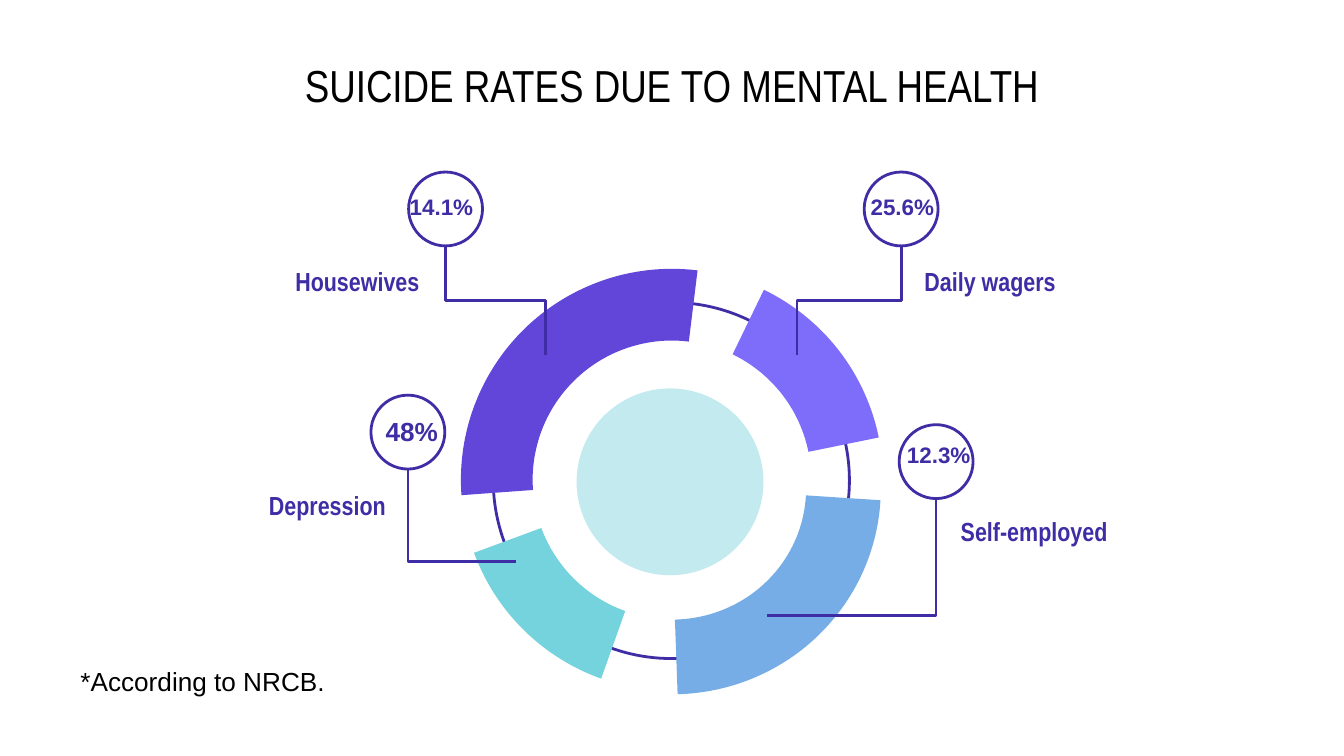
from collections import namedtuple
from lxml.etree import SubElement
from pptx import Presentation
from pptx.dml.color import RGBColor
from pptx.enum.shapes import MSO_CONNECTOR as Conn, MSO_SHAPE as Shape
from pptx.enum.text import MSO_ANCHOR as Anchor, PP_ALIGN as Align
from pptx.oxml.ns import qn
from pptx.util import Emu, Pt

PX = 9144  # 100 px to the inch
BLACK = RGBColor(0x00, 0x00, 0x00)
INDIGO = RGBColor(0x3F, 0x2D, 0xA5)
PURPLE = RGBColor(0x61, 0x46, 0xD9)
VIOLET = RGBColor(0x7E, 0x6C, 0xFB)
TEAL = RGBColor(0x74, 0xD3, 0xDC)
BLUE = RGBColor(0x77, 0xAD, 0xE6)
PALE = RGBColor(0xC3, 0xEB, 0xEF)
NARROW = "Arial Narrow"
BADGE = 55

# Arc boxes are relative to the ring box; label, rate and tip to the badge.
# Arc start and end are in python-pptx units of 100000/60000 degree.
Part = namedtuple("Part", "name rate color arc turn start end thick "
                          "badge tip bend label side spot size")
PARTS = [
    Part("Housewives", "14.1%", PURPLE, (0, 0, 314, 314), 285, 150.49, 211.19, 0.17,
         (304, 128), (102, 136), 3, (-133, 68), Align.RIGHT, (-12, 11, 73, 30), 12),
    Part("Daily wagers", "25.6%", VIOLET, (0, 0, 314, 314), 45, 150.49, 182.07, 0.17,
         (643, 128), (-50, 136), 3, (35, 68), Align.LEFT, (-5, 11, 124, 30), 12),
    Part("Depression", "48%", TEAL, (0, 0, 314, 314), 210, 155.77, 185.86, 0.17,
         (276, 294), (108, 124), 2, (-130, 69), Align.RIGHT, (1, 10, 85, 34), 14),
    Part("Self-employed", "12.3%", BLUE, (1, 5, 309, 314), 105, 155.25, 205.75, 0.18,
         (669, 316), (-98, 142), 2, (36, 66), Align.LEFT, (-4, 7, 85, 30), 12),
]


def emu(*vals):
    return [Emu(round(v * PX)) for v in vals]


def inside(box, part):
    """Move a part's offset into slide coordinates."""
    return (box[0] + part[0], box[1] + part[1], *part[2:])


def shape(shapes, kind, box, fill=None, line=None):
    item = shapes.add_shape(kind, *emu(*box))
    item.shadow.inherit = False
    if fill is None:
        item.fill.background()
    else:
        item.fill.solid()
        item.fill.fore_color.rgb = fill
    if line is None:
        item.line.fill.background()
    else:
        item.line.color.rgb = line
        item.line.width = Pt(1.5)
    return item


def text(slide, box, words, size, face="Arial", color=INDIGO, bold=True,
         align=Align.LEFT, middle=False):
    frame = slide.shapes.add_textbox(*emu(*box)).text_frame
    frame.word_wrap = True
    if middle:
        frame.vertical_anchor = Anchor.MIDDLE
        frame.margin_top = frame.margin_bottom = emu(10)[0]
    para = frame.paragraphs[0]
    para.text = words
    para.alignment = align
    font = para.font
    font.name, font.size, font.bold = face, Pt(size), bold
    font.color.rgb = color


def elbow(shapes, start, end, bend):
    """Draw a bent line that leaves its start point downwards."""
    (x, y), (u, v) = start, end
    wide, high = abs(u - x), v - y
    left, top = (x + u - high) / 2, (y + v - wide) / 2
    line = shapes.add_connector(Conn.ELBOW, *emu(left, top, left + high, top + wide))
    line.line.color.rgb = INDIGO
    line.line.width = Pt(1.5)
    props = line.element.spPr
    SubElement(props, qn("a:effectLst"))
    props.find(qn("a:prstGeom")).set("prst", f"bentConnector{bend}")
    form = props.find(qn("a:xfrm"))
    form.set("rot", str((270 if u > x else 90) * 60000))
    if u > x:
        form.set("flipH", "1")


def sector(shapes, box, part):
    arc = shape(shapes, Shape.BLOCK_ARC, inside(box, part.arc), part.color)
    arc.rotation = part.turn
    for i, val in enumerate((part.start, part.end, part.thick)):
        arc.adjustments[i] = val


def callout(slide, shapes, box, part):
    shape(shapes, Shape.OVAL, box, line=INDIGO)
    elbow(shapes, inside(box, (BADGE / 2, BADGE)), inside(box, part.tip), part.bend)
    text(slide, inside(box, (*part.label, 151, 26)), part.name, 14, NARROW,
         align=part.side, middle=True)
    align = Align.CENTER if part.spot[2] < 80 else Align.LEFT
    text(slide, inside(box, part.spot), part.rate, part.size, align=align)


def ring(slide, box):
    shape(slide.shapes, Shape.OVAL, inside(box, (86, 89, 139, 139)), PALE)
    shape(slide.shapes, Shape.OVAL, inside(box, (24, 25, 265, 265)), line=INDIGO)
    for part in PARTS:
        group = slide.shapes.add_group_shape().shapes
        sector(group, box, part)
        callout(slide, group, (*part.badge, BADGE, BADGE), part)


def main():
    deck = Presentation()
    deck.slide_width, deck.slide_height = emu(1000, 562.5)
    slide = deck.slides.add_slide(deck.slide_layouts[6])
    text(slide, (50, 45, 900, 36), "SUICIDE RATES DUE TO MENTAL HEALTH", 24, NARROW,
         BLACK, False, Align.CENTER, True)
    ring(slide, (343, 200, 314, 314))
    text(slide, (50, 490, 340, 34), "*According to NRCB.", 14, color=BLACK, bold=False)
    deck.save("out.pptx")


if __name__ == "__main__":
    main()
